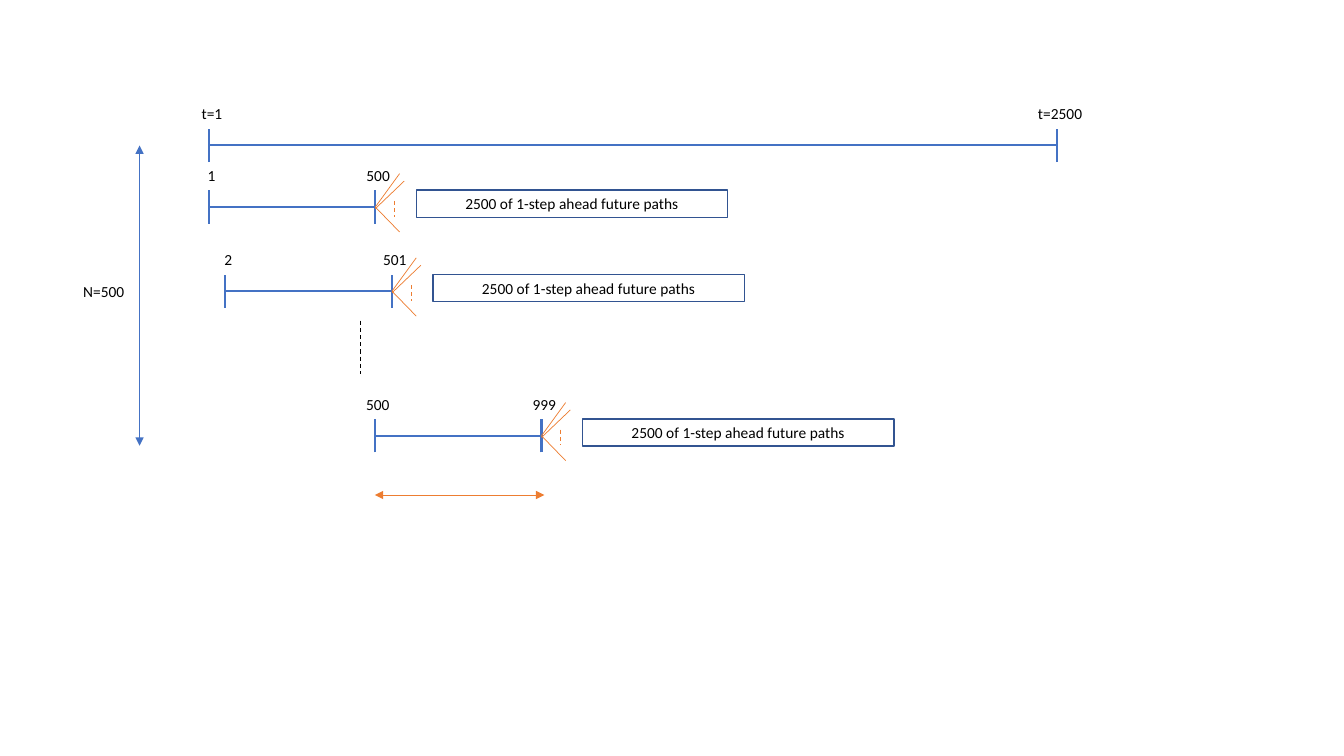
import pptx
import pptx.util
import pptx.dml.color
import pptx.enum.dml
import pptx.enum.shapes
import pptx.enum.text
import pptx.oxml.ns
from lxml import etree

Pt = pptx.util.Pt
BLUE = pptx.dml.color.RGBColor(0x44, 0x72, 0xC4)
NAVY = pptx.dml.color.RGBColor(0x32, 0x54, 0x91)
ORANGE = pptx.dml.color.RGBColor(0xED, 0x7D, 0x31)
BLACK = pptx.dml.color.RGBColor(0, 0, 0)

LABEL_WIDTH, LABEL_HEIGHT = 54.7, 25.9
TICK = 11.9  # half the height of a tick
WINDOW = 119  # length of one rolling window
TEXT_FORMAT = {"size": Pt(11), "name": "Calibri"}


def draw_line(shapes, x1, y1, x2, y2, color, width, dashed=False, arrows=False):
    line = shapes.add_connector(
        pptx.enum.shapes.MSO_CONNECTOR.STRAIGHT, Pt(x1), Pt(y1), Pt(x2), Pt(y2))
    line.line.color.rgb = color
    line.line.width = Pt(width)
    if dashed:
        line.line.dash_style = pptx.enum.dml.MSO_LINE.DASH
    if arrows:
        outline = line.line._get_or_add_ln()
        for end in ("a:headEnd", "a:tailEnd"):
            etree.SubElement(outline, pptx.oxml.ns.qn(end), type="triangle")
    etree.SubElement(line._element.spPr, pptx.oxml.ns.qn("a:effectLst"))


def write_centered(shape, text):
    frame = shape.text_frame
    frame.word_wrap = True
    frame.vertical_anchor = pptx.enum.text.MSO_ANCHOR.MIDDLE
    paragraph = frame.paragraphs[0]
    paragraph.alignment = pptx.enum.text.PP_ALIGN.CENTER
    run = paragraph.add_run()
    run.text = text
    for key, value in TEXT_FORMAT.items():
        setattr(run.font, key, value)
    run.font.color.rgb = BLACK


deck = pptx.Presentation()
deck.slide_width, deck.slide_height = Pt(960), Pt(540)
slide = deck.slides.add_slide(deck.slide_layouts[6])

# Full time axis with its two end marks
AXIS_Y = 103.9
draw_line(slide.shapes, 149.6, AXIS_Y, 755.2, AXIS_Y, BLUE, 1.5)
for text, x in (("t=1", 149.4), ("t=2500", 755.2)):
    mark = slide.shapes.add_group_shape().shapes
    label = mark.add_textbox(Pt(x - 25.3), Pt(AXIS_Y - 35.9), Pt(LABEL_WIDTH), Pt(LABEL_HEIGHT))
    write_centered(label, text)
    draw_line(mark, x, AXIS_Y + TICK, x, AXIS_Y - TICK, BLUE, 1.5)

# Rolling windows: first step, last step, left end, height on the slide
windows = (
    ("1", "500", 149.1, 147.9),
    ("2", "501", 161, 208),
    ("500", "999", 267.8, 311.3),
)
for first, last, start, y in windows:
    row = slide.shapes.add_group_shape().shapes
    end = start + WINDOW
    for text, x in ((first, start), (last, end)):
        label = row.add_textbox(Pt(x - 25.3), Pt(y - 35.5), Pt(LABEL_WIDTH), Pt(LABEL_HEIGHT))
        write_centered(label, text)
        draw_line(row, x, y + TICK, x, y - TICK, BLUE, 1.5)
    draw_line(row, start, y, end, y, BLUE, 1.5)

    # Fan of future paths: start height, reach and end height
    for rise, reach, drop in ((0, 17.3, -23.8), (1.2, 20.6, -18.5), (0, 17.3, 17.8)):
        draw_line(row, end, y + rise, end + reach, y + drop, ORANGE, 0.5)

    paths = row.add_shape(
        pptx.enum.shapes.MSO_SHAPE.RECTANGLE, Pt(end + 29.2), Pt(y - 12.1), Pt(222.5), Pt(19.5))
    paths.shadow.inherit = False
    paths.fill.background()
    paths.line.color.rgb = NAVY
    paths.line.width = Pt(1)
    write_centered(paths, "2500 of 1-step ahead future paths")
    draw_line(row, end + 13.9, y - 4.4, end + 13.9, y + 6.9, ORANGE, 0.75, dashed=True)

# Number of windows
draw_line(slide.shapes, 99.7, AXIS_Y, 99.7, 318.4, BLUE, 0.5, arrows=True)
count = slide.shapes.add_textbox(Pt(46.8), Pt(195.3), Pt(LABEL_WIDTH), Pt(LABEL_HEIGHT))
write_centered(count, "N=500")

# Omitted windows and window length
draw_line(slide.shapes, 257.3, 229, 257.3, 267.4, BLACK, 0.75, dashed=True)
draw_line(slide.shapes, 267.8, 353.6, 388.8, 353.6, ORANGE, 0.5, arrows=True)

deck.save("out.pptx")
